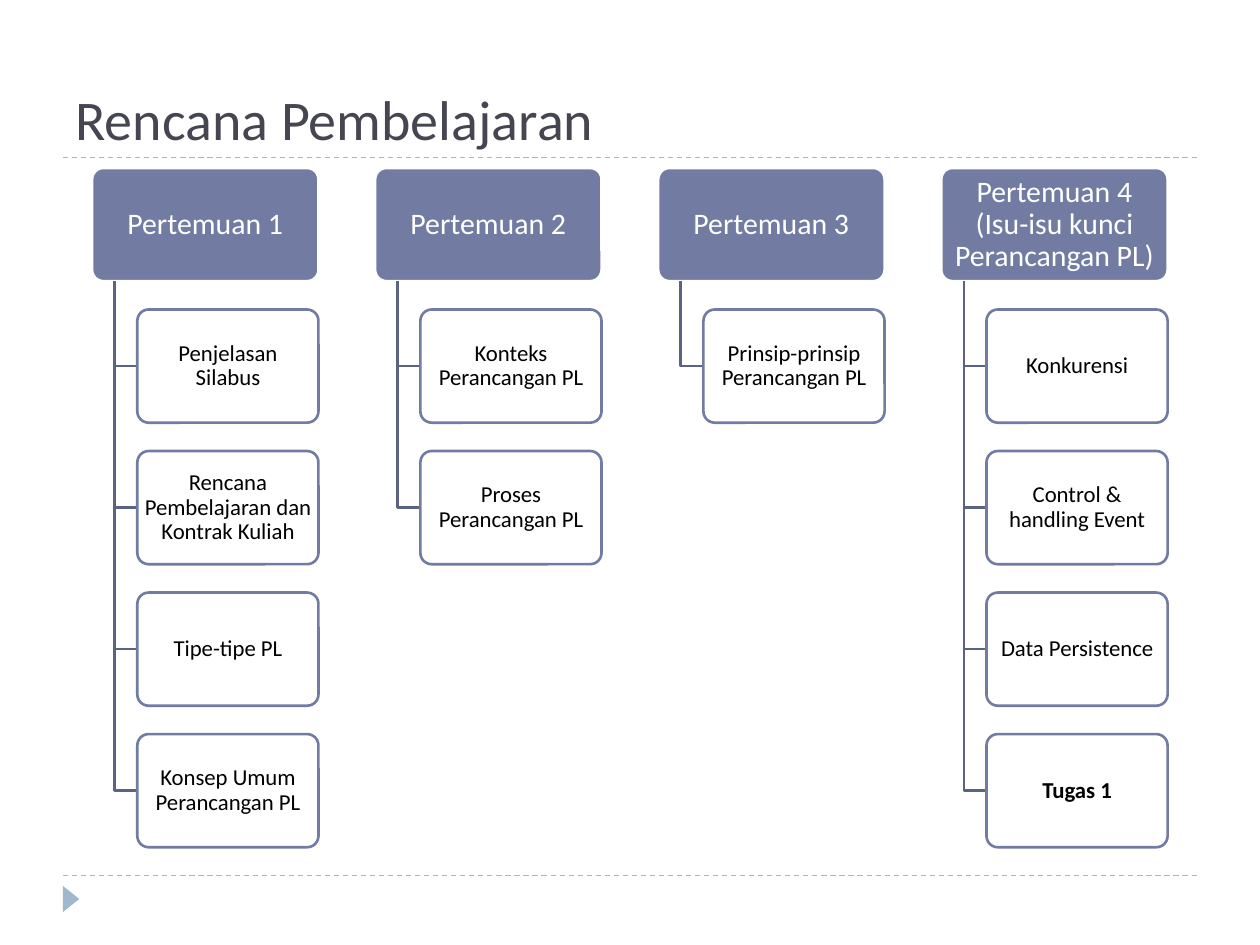
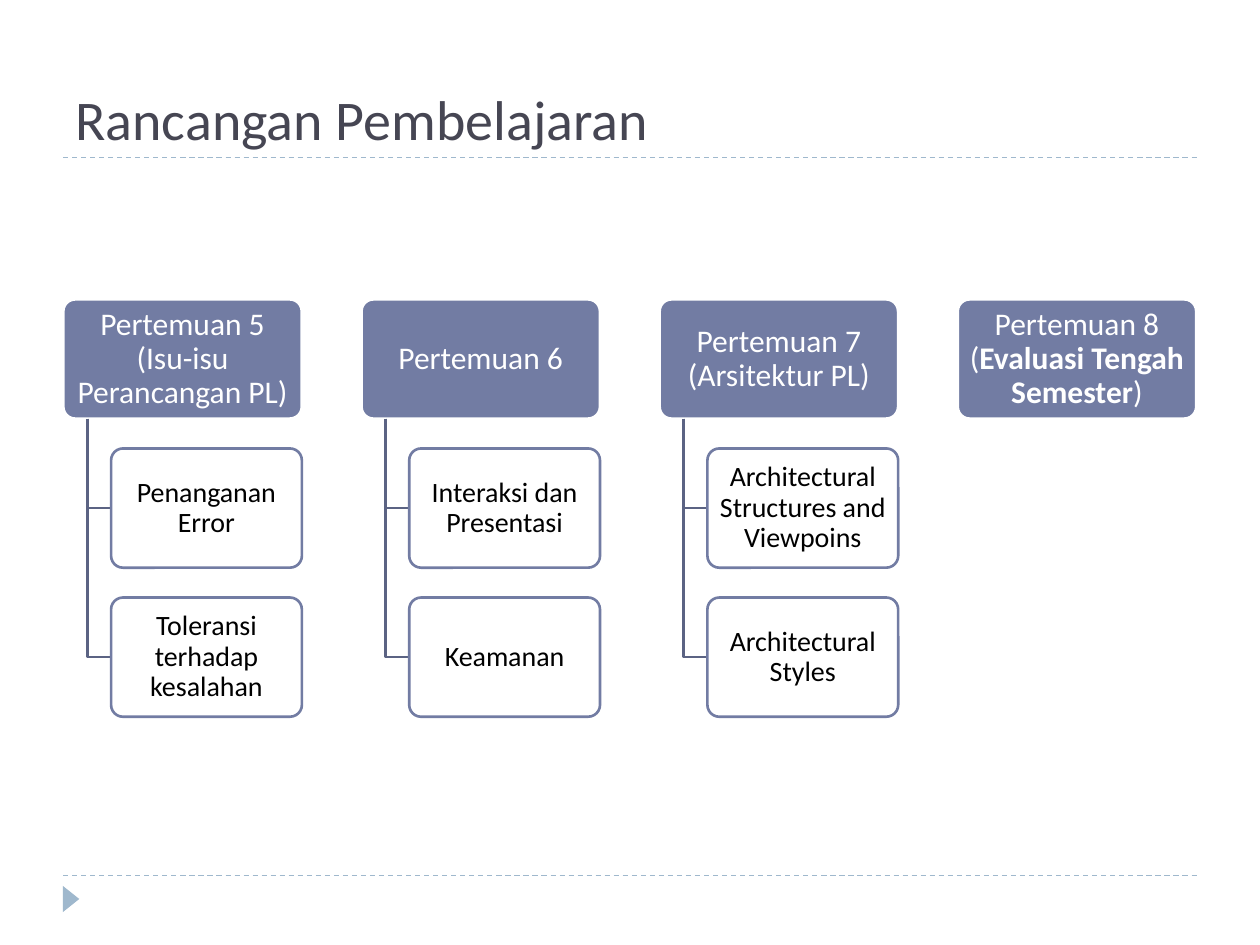
from dataclasses import dataclass

from lxml.etree import SubElement
from pptx import Presentation
from pptx.dml.color import RGBColor
from pptx.enum.dml import MSO_LINE
from pptx.enum.shapes import MSO_CONNECTOR, MSO_SHAPE
from pptx.enum.text import MSO_ANCHOR, PP_ALIGN
from pptx.oxml.ns import qn
from pptx.util import Pt


@dataclass(frozen=True)
class Theme:
    font: str = "Calibri"
    title: RGBColor = RGBColor(0x46, 0x46, 0x53)
    frame: RGBColor = RGBColor(0x9F, 0xB8, 0xCD)
    accent: RGBColor = RGBColor(0x72, 0x7C, 0xA3)
    branch: RGBColor = RGBColor(0x5B, 0x63, 0x83)
    white: RGBColor = RGBColor(0xFF, 0xFF, 0xFF)
    black: RGBColor = RGBColor(0x00, 0x00, 0x00)
    title_size: float = 32
    rule_width: float = 0.75
    box_line: float = 1.5
    corner: float = 0.1
    topic_opacity: int = 90


THEME = Theme()


@dataclass(frozen=True)
class Tree:
    left: float
    top: float
    width: float
    head_size: float
    topic_size: float

    @property
    def height(self):
        return self.width / 2

    @property
    def column_step(self):
        return self.width * 1.25

    @property
    def row_step(self):
        return self.height * 1.25


FIRST_TREE = Tree(52.6, 96, 129.4, 17, 13)
FIRST_MEETINGS = [
    ("Pertemuan 1", ["Penjelasan Silabus", "Rencana Pembelajaran dan Kontrak Kuliah",
                     "Tipe-tipe PL", "Konsep Umum Perancangan PL"]),
    ("Pertemuan 2", ["Konteks Perancangan PL", "Proses Perancangan PL"]),
    ("Pertemuan 3", ["Prinsip-prinsip Perancangan PL"]),
    ("Pertemuan 4 (Isu-isu kunci Perancangan PL)",
     ["Konkurensi", "Control & handling Event", "Data Persistence", [("Tugas 1", True)]]),
]

SECOND_TREE = Tree(36.2, 171.1, 136.3, 18, 16)
SECOND_MEETINGS = [
    ("Pertemuan 5 (Isu-isu Perancangan PL)",
     ["Penanganan Error", "Toleransi terhadap kesalahan"]),
    ("Pertemuan 6", ["Interaksi dan Presentasi", "Keamanan"]),
    ("Pertemuan 7 (Arsitektur PL)",
     ["Architectural Structures and Viewpoins", "Architectural Styles"]),
    ([("Pertemuan 8 (", False), ("Evaluasi Tengah Semester", True), (")", False)], []),
]


def add_runs(p, text, size, color):
    runs = [(text, False)] if isinstance(text, str) else text
    for words, bold in runs:
        r = p.add_run()
        r.text = words
        r.font.name = THEME.font
        r.font.size = Pt(size)
        r.font.bold = bold
        r.font.color.rgb = color


def add_rule(s, y):
    rule = s.shapes.add_connector(MSO_CONNECTOR.STRAIGHT, Pt(36), Pt(y), Pt(684), Pt(y))
    rule.line.color.rgb = THEME.frame
    rule.line.width = Pt(THEME.rule_width)
    rule.line.dash_style = MSO_LINE.DASH
    SubElement(rule._element.spPr, qn("a:effectLst"))


def add_marker(s):
    sp = s.shapes.add_shape(MSO_SHAPE.ISOSCELES_TRIANGLE, Pt(33.1), Pt(509), Pt(15), Pt(9.4))
    sp.rotation = 90
    sp.shadow.inherit = False
    sp.fill.solid()
    sp.fill.fore_color.rgb = THEME.frame
    sp.line.fill.background()


def add_title(s, text):
    tf = s.shapes.add_textbox(Pt(36), Pt(12), Pt(648), Pt(78)).text_frame
    tf.word_wrap = True
    tf.vertical_anchor = MSO_ANCHOR.BOTTOM
    add_runs(tf.paragraphs[0], text, THEME.title_size, THEME.title)


def add_box(s, x, y, w, h, text, size, fill, line, color):
    sp = s.shapes.add_shape(MSO_SHAPE.ROUNDED_RECTANGLE, Pt(x), Pt(y), Pt(w), Pt(h))
    sp.adjustments[0] = THEME.corner
    sp.shadow.inherit = False
    sp.fill.solid()
    sp.fill.fore_color.rgb = fill
    sp.line.color.rgb = line
    sp.line.width = Pt(THEME.box_line)
    tf = sp.text_frame
    tf.word_wrap = True
    tf.vertical_anchor = MSO_ANCHOR.MIDDLE
    tf.margin_left = tf.margin_right = Pt(size * 0.15)
    tf.margin_top = tf.margin_bottom = Pt(size * 0.1)
    p = tf.paragraphs[0]
    p.alignment = PP_ALIGN.CENTER
    p.line_spacing = 0.9
    add_runs(p, text, size, color)
    return sp


def add_topic(s, x, y, w, h, text, size):
    sp = add_box(s, x, y, w, h, text, size, THEME.white, THEME.accent, THEME.black)
    color = sp._element.spPr.find(qn("a:solidFill")).find(qn("a:srgbClr"))
    SubElement(color, qn("a:alpha")).set("val", str(THEME.topic_opacity * 1000))


def add_branch(s, x, top, right, bottom):
    builder = s.shapes.build_freeform(Pt(x), Pt(top))
    builder.add_line_segments([(Pt(x), Pt(bottom)), (Pt(right), Pt(bottom))], close=False)
    sp = builder.convert_to_shape()
    sp.shadow.inherit = False
    sp.fill.background()
    sp.line.color.rgb = THEME.branch
    sp.line.width = Pt(THEME.box_line)


def add_meeting(s, tree, column, head, topics):
    x = tree.left + column * tree.column_step
    w, h = tree.width, tree.height
    add_box(s, x, tree.top, w, h, head, tree.head_size,
            THEME.accent, THEME.white, THEME.white)
    topic_x = x + w * 0.2
    for row, topic in enumerate(topics, 1):
        y = tree.top + row * tree.row_step
        add_branch(s, x + w * 0.1, tree.top + h, topic_x, y + h / 2)
        add_topic(s, topic_x, y, w * 0.8, h, topic, tree.topic_size)


def add_plan_slide(prs, title, tree, meetings):
    s = prs.slides.add_slide(prs.slide_layouts[6])
    add_rule(s, 500.4)
    add_rule(s, 90)
    add_marker(s)
    add_title(s, title)
    for column, (head, topics) in enumerate(meetings):
        add_meeting(s, tree, column, head, topics)


def main():
    prs = Presentation()
    prs.slide_width, prs.slide_height = Pt(720), Pt(540)
    add_plan_slide(prs, "Rencana Pembelajaran", FIRST_TREE, FIRST_MEETINGS)
    add_plan_slide(prs, "Rancangan Pembelajaran", SECOND_TREE, SECOND_MEETINGS)
    prs.save("out.pptx")


if __name__ == "__main__":
    main()
